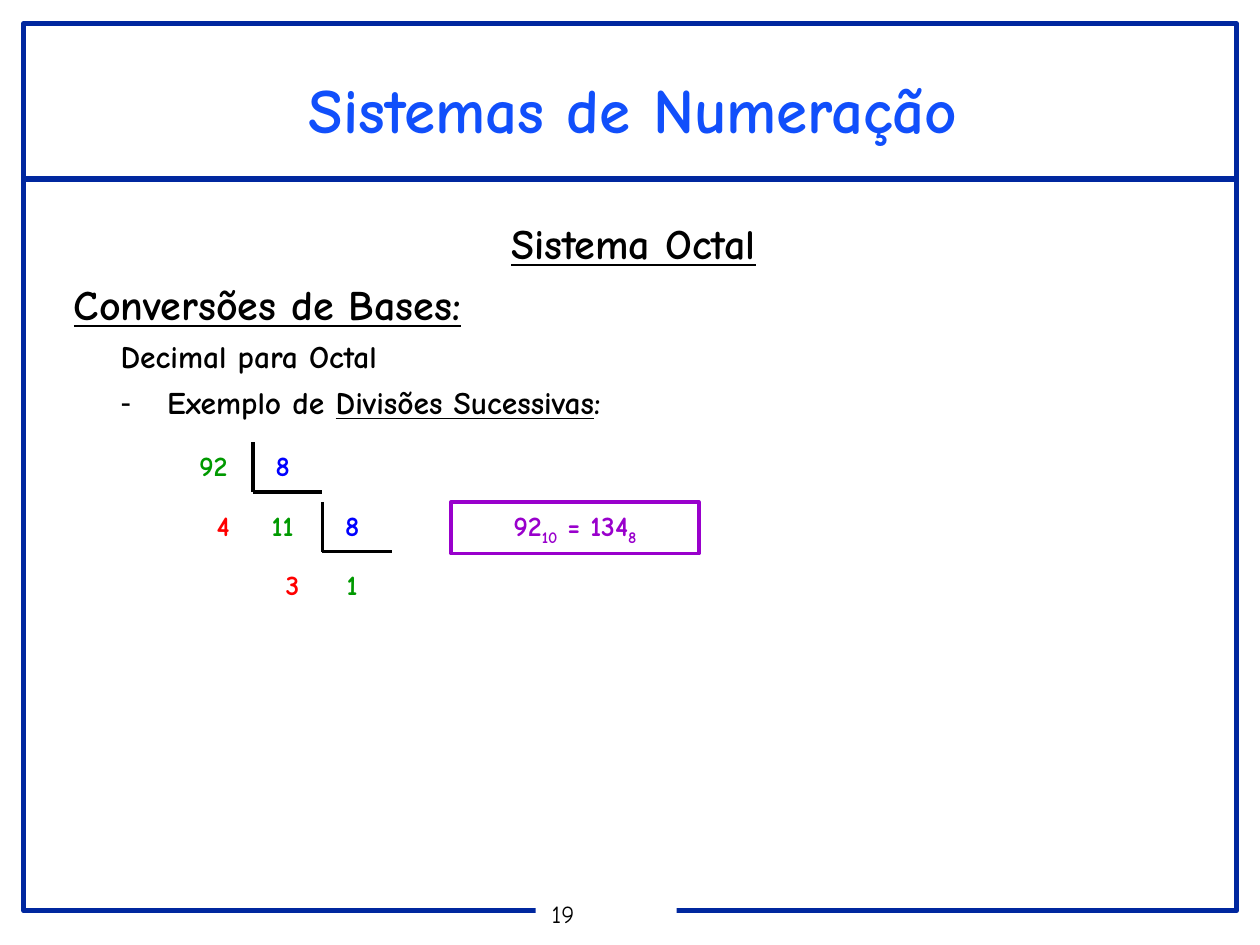
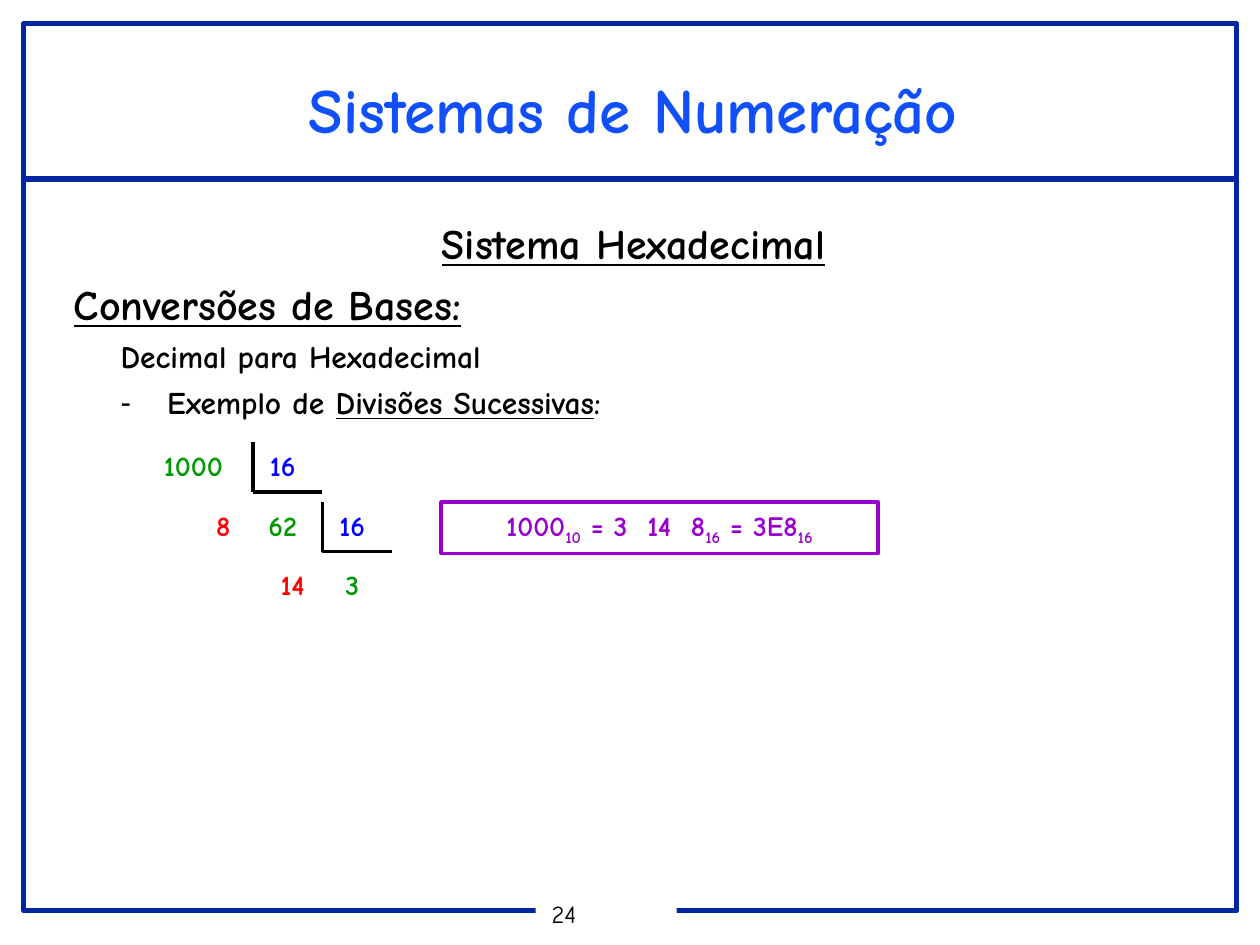
from dataclasses import dataclass

from lxml.etree import SubElement
from pptx import Presentation
from pptx.dml.color import RGBColor
from pptx.enum.shapes import MSO_CONNECTOR as Connector, MSO_SHAPE as Shape
from pptx.enum.text import MSO_ANCHOR as Anchor, MSO_AUTO_SIZE as AutoSize, PP_ALIGN as Align
from pptx.oxml.ns import qn
from pptx.util import Cm, Pt


@dataclass(frozen=True)
class Theme:
    font: str = "Comic Neue"
    frame: str = "00279F"
    title: str = "114FFB"
    ink: str = "000000"
    paper: str = "FFFFFF"
    quotient: str = "009900"
    divisor: str = "0000FF"
    remainder: str = "FF0000"
    result: str = "9900CC"
    title_size: int = 36
    heading_size: int = 24
    list_size: int = 18
    number_size: int = 16
    page_size: int = 14
    frame_width: int = 3
    line_width: int = 2


PAGE_WIDTH, PAGE_HEIGHT = 25.4, 19.05
FRAME_MARGIN, FRAME_WIDTH = 0.48, 24.45
RULE_TOP = 3.61
INSETS, TIGHT_INSETS = (0.25, 0.13), (0.18, 0.08)

# Division staircase: first corner, step to the next one, and number cells
CORNER_LEFT, CORNER_TOP = 5.1, 8.92
STEP_RIGHT, STEP_DOWN = 1.4, 1.2
BRACKET_HEIGHT = 1.0
CELL_WIDTH, CELL_HEIGHT = 1.2, 0.94
DIVIDEND_GAP = 0.2


def rgb(code):
    return RGBColor.from_string(code)


def write(paragraph, text, *, font, size, color, bold=True, underline=False,
          align=Align.LEFT, spacing=1.0, before=0, marked="underline"):
    """Write text into a paragraph; parts between bars are underlined or subscript."""
    paragraph.alignment = align
    paragraph.line_spacing = spacing
    paragraph.space_before = Pt(before)
    for index, part in enumerate(text.split("|")):
        if not part:
            continue
        is_marked = index % 2 == 1
        run = paragraph.add_run()
        run.text = part
        run.font.name = font
        run.font.size = Pt(size)
        run.font.bold = bold
        run.font.color.rgb = rgb(color)
        run.font.underline = underline or (is_marked and marked == "underline")
        if is_marked and marked == "subscript":
            run.font._element.set("baseline", "-25000")


def set_bullet(paragraph, left, hanging, symbol=None, color=None):
    properties = paragraph._p.get_or_add_pPr()
    properties.set("marL", str(Cm(left)))
    properties.set("indent", str(-Cm(hanging)))
    if symbol is None:
        SubElement(properties, qn("a:buNone"))
        return
    bullet_color = SubElement(properties, qn("a:buClr"))
    SubElement(bullet_color, qn("a:srgbClr")).set("val", color)
    SubElement(properties, qn("a:buChar")).set("char", symbol)


def place(shape, left, top, width, height):
    shape.left, shape.top = Cm(left), Cm(top)
    shape.width, shape.height = Cm(width), Cm(height)


def prepare_frame(shape, insets=INSETS, anchor=Anchor.TOP, wrap=True):
    frame = shape.text_frame
    frame.auto_size = AutoSize.NONE
    frame.word_wrap = wrap
    frame.vertical_anchor = anchor
    frame.margin_left = frame.margin_right = Cm(insets[0])
    frame.margin_top = frame.margin_bottom = Cm(insets[1])
    return frame


class SlideBuilder:
    def __init__(self, presentation, theme):
        self.presentation = presentation
        self.theme = theme
        self.slide = None

    def start(self, title, page):
        """Add a slide with the shared frame, rule, page number and title."""
        layout = self.presentation.slide_layouts[1]
        self.slide = self.presentation.slides.add_slide(layout)
        theme = self.theme
        right = FRAME_MARGIN + FRAME_WIDTH
        self.line(FRAME_MARGIN, RULE_TOP, right, RULE_TOP, theme.frame, theme.frame_width)
        self.rectangle(FRAME_MARGIN, FRAME_MARGIN, FRAME_WIDTH, 17.88,
                       line=theme.frame, line_width=theme.frame_width)
        tile = self.rectangle(10.8, 18.11, 2.84, 0.69, fill=theme.paper)
        frame = prepare_frame(tile, TIGHT_INSETS, wrap=False)
        frame.margin_left = Cm(0.32)
        write(frame.paragraphs[0], str(page), font=theme.font, size=theme.page_size,
              color=theme.ink, bold=False, spacing=0.9)
        self.title(title)

    def title(self, text):
        shape = self.slide.shapes.title
        place(shape, 5.21, 1.45, 15.11, 3.05)
        write(prepare_frame(shape, TIGHT_INSETS).paragraphs[0], text,
              font=self.theme.font, size=self.theme.title_size,
              color=self.theme.title, align=Align.CENTER, spacing=0.95)

    def body(self, headings, items):
        """Fill the body: centred heading, left heading, plain item, then dashed items."""
        theme = self.theme
        shape = self.slide.placeholders[1]
        place(shape, 1.24, 4.37, 23.06, 13.03)
        frame = prepare_frame(shape)
        for index, text in enumerate(headings):
            paragraph = frame.add_paragraph() if index else frame.paragraphs[0]
            set_bullet(paragraph, 1.27, 1.27)
            write(paragraph, text, font=theme.font, size=theme.heading_size,
                  color=theme.ink, underline=True, spacing=0.9,
                  align=Align.LEFT if index else Align.CENTER, before=9 if index else 0)
        for index, text in enumerate(items):
            paragraph = frame.add_paragraph()
            paragraph.level = 1
            set_bullet(paragraph, 1.88, 0.94, "-" if index else None, theme.ink)
            write(paragraph, text, font=theme.font, size=theme.list_size,
                  color=theme.ink, spacing=0.9, before=6.8)

    def rectangle(self, left, top, width, height, fill=None, line=None, line_width=0):
        shape = self.slide.shapes.add_shape(
            Shape.RECTANGLE, Cm(left), Cm(top), Cm(width), Cm(height))
        shape.shadow.inherit = False
        if fill:
            shape.fill.solid()
            shape.fill.fore_color.rgb = rgb(fill)
        else:
            shape.fill.background()
        if line:
            shape.line.color.rgb = rgb(line)
            shape.line.width = Pt(line_width)
        else:
            shape.line.fill.background()
        return shape

    def line(self, left, top, right, bottom, color, width):
        connector = self.slide.shapes.add_connector(
            Connector.STRAIGHT, Cm(left), Cm(top), Cm(right), Cm(bottom))
        connector.line.color.rgb = rgb(color)
        connector.line.width = Pt(width)
        SubElement(connector._element.spPr, qn("a:effectLst"))

    def number(self, value, left, top, color, width=CELL_WIDTH):
        box = self.slide.shapes.add_textbox(Cm(left), Cm(top), Cm(width), Cm(CELL_HEIGHT))
        write(prepare_frame(box).paragraphs[0], str(value), font=self.theme.font,
              size=self.theme.number_size, color=color, align=Align.CENTER)

    def bracket(self, left, top):
        bottom = top + BRACKET_HEIGHT
        style = self.theme.ink, self.theme.line_width
        self.line(left, top, left, bottom, *style)
        self.line(left, bottom, left + STEP_RIGHT, bottom, *style)

    def divisions(self, dividend, base, dividend_width):
        """Draw the successive divisions of a number by a base as a staircase."""
        theme = self.theme
        left, top = CORNER_LEFT, CORNER_TOP
        self.number(dividend, left - DIVIDEND_GAP - dividend_width, top,
                    theme.quotient, dividend_width)
        quotient = dividend
        while quotient >= base:
            quotient, remainder = divmod(quotient, base)
            self.bracket(left, top)
            self.number(base, left, top, theme.divisor)
            self.number(quotient, left, top + STEP_DOWN, theme.quotient)
            self.number(remainder, left - CELL_WIDTH, top + STEP_DOWN, theme.remainder)
            left, top = left + STEP_RIGHT, top + STEP_DOWN

    def result(self, text, left, width):
        theme = self.theme
        box = self.rectangle(left, 10.12, width, 1.04,
                             line=theme.result, line_width=theme.line_width)
        write(prepare_frame(box, anchor=Anchor.MIDDLE).paragraphs[0], text,
              font=theme.font, size=theme.number_size, color=theme.result,
              align=Align.CENTER, marked="subscript")


@dataclass(frozen=True)
class Conversion:
    page: int
    system: str
    dividend: int
    base: int
    dividend_width: float
    result: str
    result_left: float
    result_width: float


CONVERSIONS = [
    Conversion(19, "Octal", 92, 8, 1.2, "92|10| = 134|8|", 9.09, 5.0),
    Conversion(24, "Hexadecimal", 1000, 16, 2.0,
               "1000|10| = 3  14  8|16| = 3E8|16|", 8.89, 8.81),
]


def main():
    presentation = Presentation()
    presentation.slide_width = Cm(PAGE_WIDTH)
    presentation.slide_height = Cm(PAGE_HEIGHT)
    builder = SlideBuilder(presentation, Theme())
    for conversion in CONVERSIONS:
        builder.start("Sistemas de Numeração", conversion.page)
        builder.body(
            [f"Sistema {conversion.system}", "Conversões de Bases:"],
            [f"Decimal para {conversion.system}", "Exemplo de |Divisões Sucessivas|:"])
        builder.divisions(conversion.dividend, conversion.base, conversion.dividend_width)
        builder.result(conversion.result, conversion.result_left, conversion.result_width)
    presentation.save("out.pptx")


if __name__ == "__main__":
    main()
